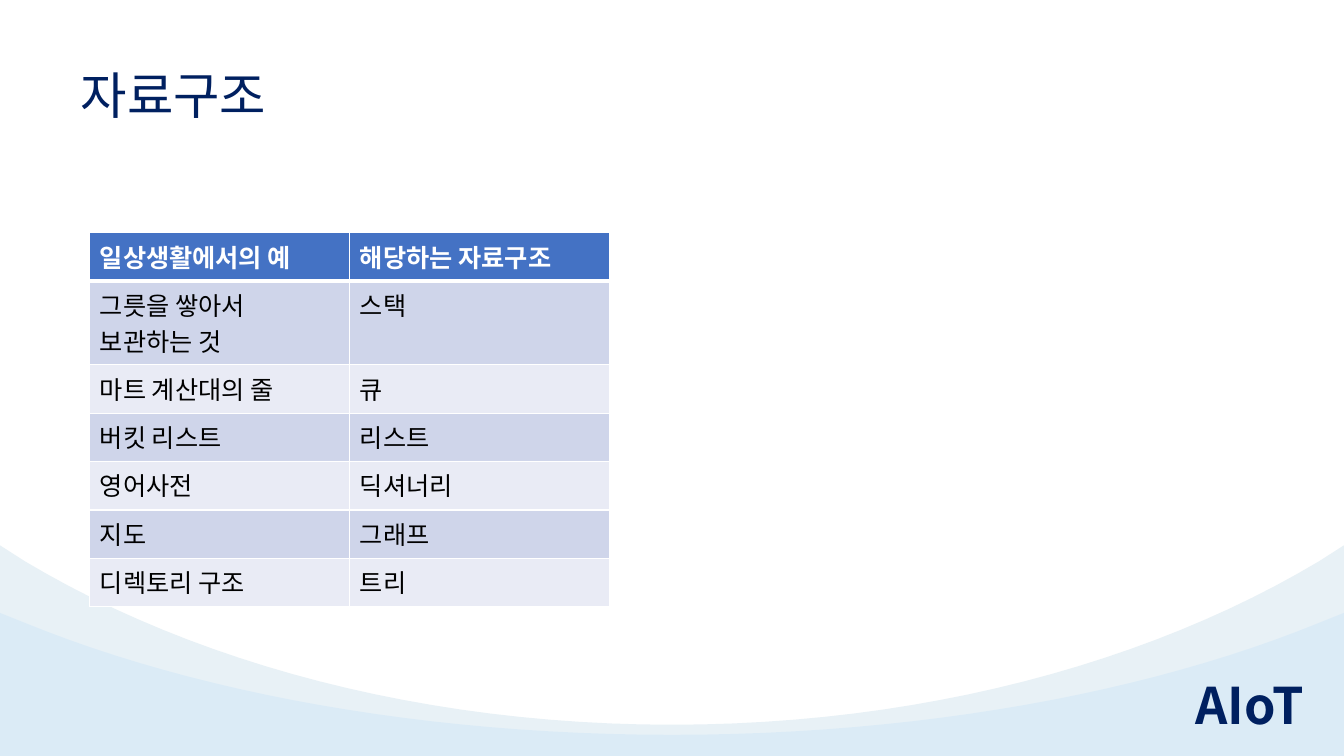
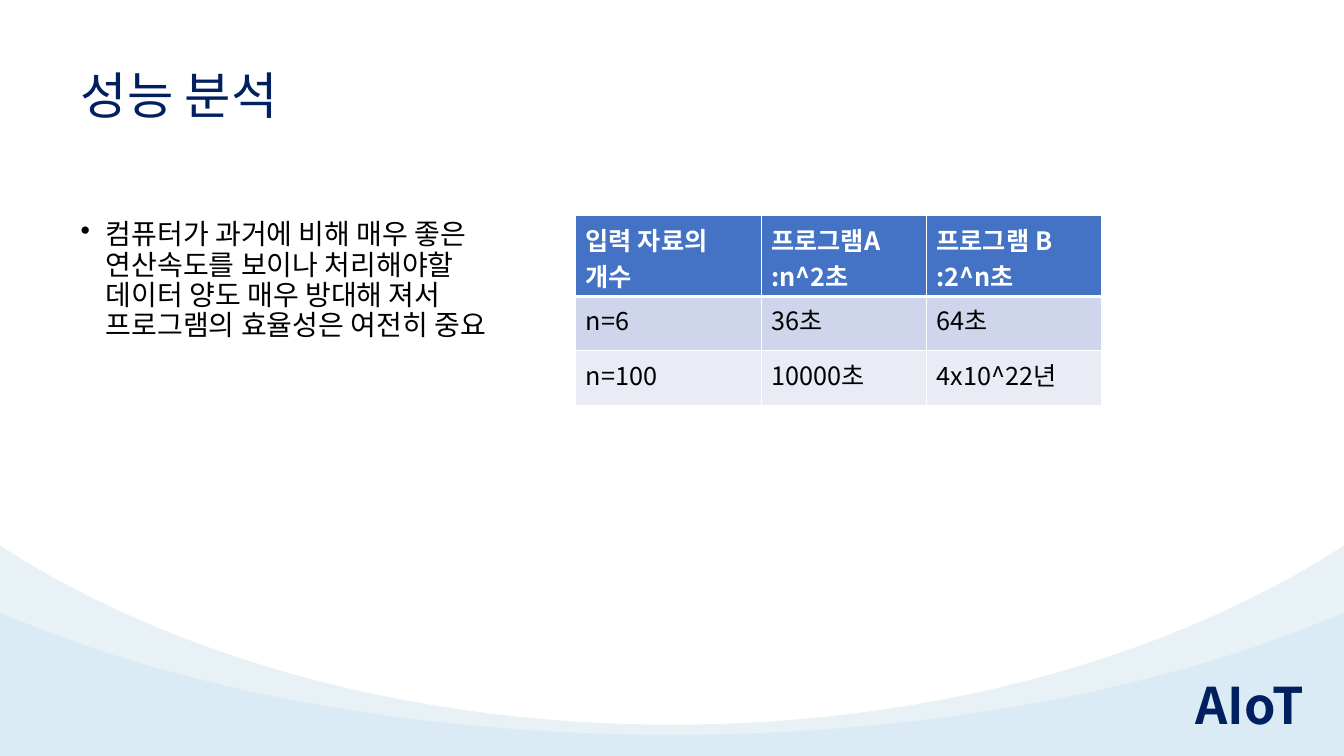
from dataclasses import dataclass

from lxml import etree
from pptx import Presentation
from pptx.dml.color import RGBColor
from pptx.enum.text import MSO_ANCHOR, MSO_AUTO_SIZE, PP_ALIGN
from pptx.oxml.ns import qn
from pptx.util import Inches, Pt

# Shared style
FONT = "Noto Sans CJK KR"
NAVY = RGBColor(0x00, 0x20, 0x60)
BLACK = RGBColor(0x00, 0x00, 0x00)
WHITE = RGBColor(0xFF, 0xFF, 0xFF)
HEADER = RGBColor(0x44, 0x72, 0xC4)
BANDS = (RGBColor(0xCF, 0xD5, 0xEA), RGBColor(0xE9, 0xEB, 0xF5))
PALE = RGBColor(0xE8, 0xF1, 0xF6)
SKY = RGBColor(0x7A, 0xC2, 0xF9)

LEFT = PP_ALIGN.LEFT
TOP, MIDDLE = MSO_ANCHOR.TOP, MSO_ANCHOR.MIDDLE
NO_AUTOSIZE = MSO_AUTO_SIZE.NONE

SLIDE_W, SLIDE_H = 13.33, 7.5
TITLE_ONLY = 5
CURVE_STEPS = 24


@dataclass(frozen=True)
class Wave:
    """Left half of a symmetric wave: edge, then a Bezier curve to the middle."""
    edge_y: float
    curve: tuple[tuple[float, float], ...]
    color: RGBColor
    alpha: int = 100


@dataclass(frozen=True)
class TableSpec:
    left: float
    top: float
    cols: tuple[float, ...]
    heights: tuple[float, ...]
    rows: tuple[tuple[str, ...], ...]


WAVES = (
    Wave(5.41, ((0.25, 5.57), (1.94, 6.58), (4.2, 7.19), (6.67, 7.19)), PALE),
    Wave(6.08, ((0.25, 6.18), (1.94, 6.87), (4.2, 7.29), (6.67, 7.29)), SKY, 11),
)

STRUCTURES = TableSpec(
    0.89, 2.31, (2.58, 2.58), (0.48, 0.83) + (0.48,) * 5,
    (
        ("일상생활에서의 예", "해당하는 자료구조"),
        ("그릇을 쌓아서\n보관하는 것", "스택"),
        ("마트 계산대의 줄", "큐"),
        ("버킷 리스트", "리스트"),
        ("영어사전", "딕셔너리"),
        ("지도", "그래프"),
        ("디렉토리 구조", "트리"),
    ),
)

RUN_TIMES = TableSpec(
    5.71, 2.14, (1.84, 1.64, 1.74), (0.8, 0.54, 0.54),
    (
        ("입력 자료의\n개수", "프로그램A\n:n^2초", "프로그램 B\n:2^n초"),
        ("n=6", "36초", "64초"),
        ("n=100", "10000초", "4x10^22년"),
    ),
)

EFFICIENCY = ("컴퓨터가 과거에 비해 매우 좋은 연산속도를 보이나 처리해야할 "
              "데이터 양도 매우 방대해 져서 프로그램의 효율성은 여전히 중요")


def write(tf, text: str, *, size: float, color: RGBColor = BLACK,
          bold: bool = False, anchor=TOP, spacing: float = 1.0,
          before: float = 0, bullet: str = "") -> None:
    """Fill a text frame, one paragraph per line of text."""
    tf.vertical_anchor = anchor
    for i, line in enumerate(text.split("\n")):
        p = tf.add_paragraph() if i else tf.paragraphs[0]
        p.alignment = LEFT
        p.line_spacing = spacing
        p.space_before = Pt(before)
        r = p.add_run()
        r.text = line
        r.font.name = FONT
        r.font.size = Pt(size)
        r.font.bold = bold
        r.font.color.rgb = color
        ea = etree.SubElement(r._r.get_or_add_rPr(), qn("a:ea"))
        ea.set("typeface", FONT)
        if bullet:
            pPr = p._p.get_or_add_pPr()
            pPr.set("marL", str(Inches(0.25)))
            pPr.set("indent", str(Inches(-0.25)))
            etree.SubElement(pPr, qn("a:buChar")).set("char", bullet)


def add_text(s, text: str, left: float, top: float, width: float,
             height: float, *, wrap: bool = True, **fmt) -> None:
    sp = s.shapes.add_textbox(*map(Inches, (left, top, width, height)))
    sp.text_frame.word_wrap = wrap
    write(sp.text_frame, text, **fmt)


def bezier(pts: tuple[tuple[float, float], ...], t: float) -> tuple[float, ...]:
    weights = ((1 - t) ** 3, 3 * t * (1 - t) ** 2, 3 * t ** 2 * (1 - t), t ** 3)
    return tuple(sum(w * pt[axis] for w, pt in zip(weights, pts))
                 for axis in (0, 1))


def add_wave(s, wave: Wave) -> None:
    half = [(0, wave.edge_y)]
    half += [bezier(wave.curve, i / CURVE_STEPS) for i in range(CURVE_STEPS + 1)]
    mirrored = [(SLIDE_W - x, y) for x, y in reversed(half)]
    outline = half + mirrored + [(SLIDE_W, SLIDE_H), (0, SLIDE_H)]
    points = [(Inches(x), Inches(y)) for x, y in outline]
    builder = s.shapes.build_freeform(*points[0])
    builder.add_line_segments(points[1:], close=True)
    sp = builder.convert_to_shape()
    sp.shadow.inherit = False
    sp.line.fill.background()
    sp.fill.solid()
    sp.fill.fore_color.rgb = wave.color
    if wave.alpha < 100:
        clr = sp._element.spPr.find(qn("a:solidFill"))[0]
        etree.SubElement(clr, qn("a:alpha")).set("val", str(wave.alpha * 1000))


def set_borders(cell, top: float, bottom: float) -> None:
    tcPr = cell._tc.get_or_add_tcPr()
    for side, width in (("L", 1), ("R", 1), ("T", top), ("B", bottom)):
        ln = etree.SubElement(tcPr, qn(f"a:ln{side}"), w=str(Pt(width)))
        fill = etree.SubElement(ln, qn("a:solidFill"))
        etree.SubElement(fill, qn("a:srgbClr")).set("val", str(WHITE))


def add_table(s, spec: TableSpec) -> None:
    frame = s.shapes.add_table(
        len(spec.rows), len(spec.cols), Inches(spec.left), Inches(spec.top),
        Inches(sum(spec.cols)), Inches(sum(spec.heights)))
    table = frame.table
    for col, width in zip(table.columns, spec.cols):
        col.width = Inches(width)
    for i, (height, texts) in enumerate(zip(spec.heights, spec.rows)):
        table.rows[i].height = Inches(height)
        is_header = i == 0
        for j, text in enumerate(texts):
            cell = table.cell(i, j)
            # Thick rule between the header and the body
            set_borders(cell, 3 if i == 1 else 1, 3 if is_header else 1)
            cell.fill.solid()
            cell.fill.fore_color.rgb = HEADER if is_header else BANDS[(i - 1) % 2]
            write(cell.text_frame, text, size=18, bold=is_header,
                  color=WHITE if is_header else BLACK)


def new_slide(prs, title: str):
    """Add a slide with the waves, the corner mark and its title."""
    s = prs.slides.add_slide(prs.slide_layouts[TITLE_ONLY])
    for wave in WAVES:
        add_wave(s, wave)
    add_text(s, "AIoT", 11.76, 6.64, 1.32, 0.71, wrap=False,
             size=36, color=NAVY, bold=True)
    sp = s.shapes.title
    sp.left, sp.top, sp.width, sp.height = map(Inches, (0.7, 0.35, 11.93, 1.24))
    sp.text_frame.auto_size = NO_AUTOSIZE
    write(sp.text_frame, title, size=36, color=NAVY, anchor=MIDDLE, spacing=0.9)
    return s


def main() -> None:
    prs = Presentation()
    prs.slide_width, prs.slide_height = Inches(SLIDE_W), Inches(SLIDE_H)

    # Data structures in daily life
    s = new_slide(prs, "자료구조")
    add_table(s, STRUCTURES)

    # Performance analysis
    s = new_slide(prs, "성능 분석")
    add_text(s, EFFICIENCY, 0.7, 2.14, 4.38, 4.81,
             size=20, spacing=0.9, before=10, bullet="•")
    add_table(s, RUN_TIMES)

    prs.save("out.pptx")


if __name__ == "__main__":
    main()
